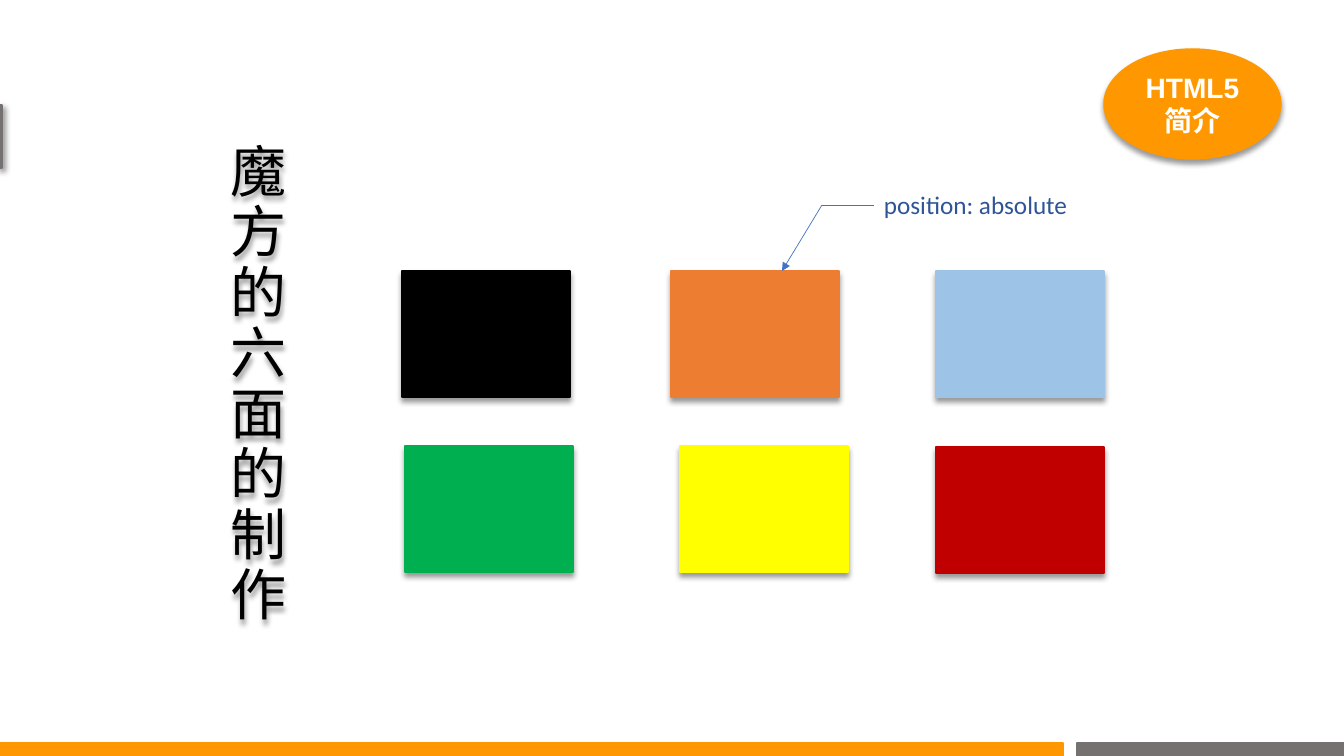
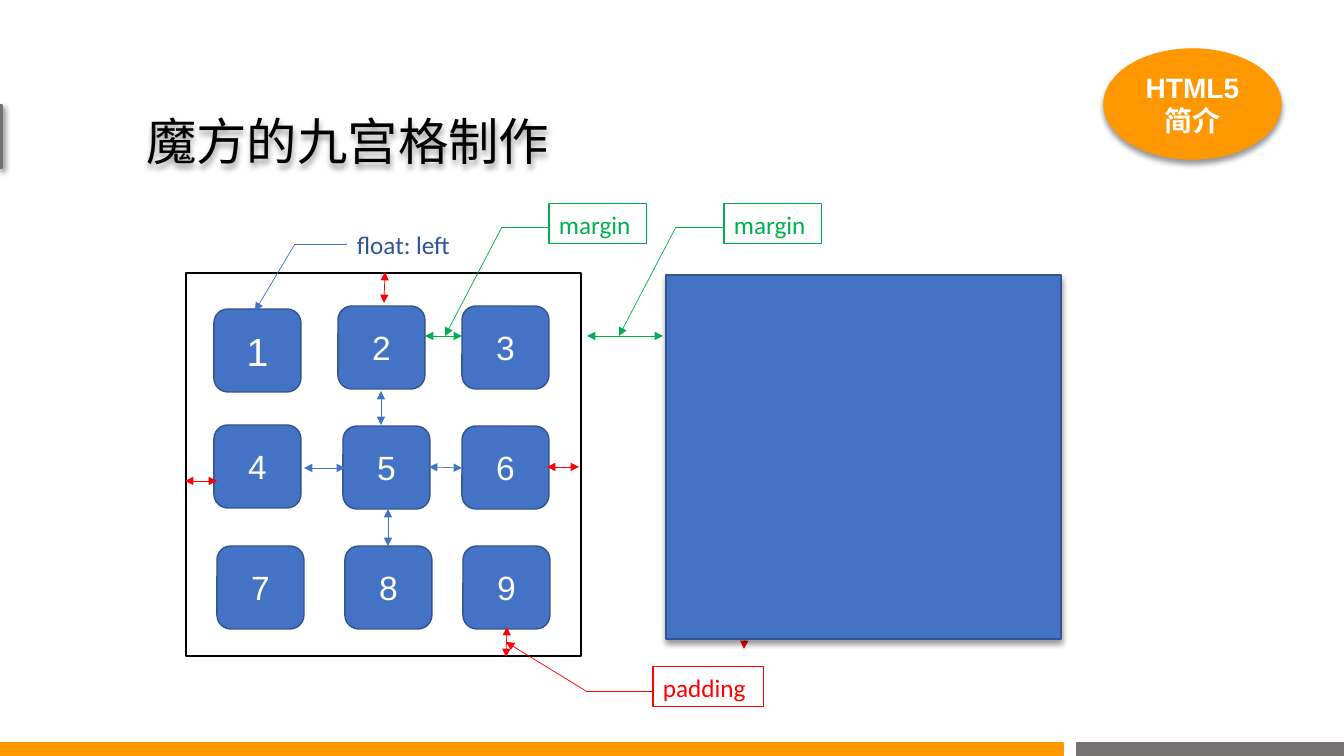
from lxml import etree
from pptx import Presentation
from pptx.dml.color import RGBColor
from pptx.enum.shapes import MSO_CONNECTOR, MSO_SHAPE
from pptx.enum.text import MSO_ANCHOR, MSO_AUTO_SIZE, PP_ALIGN
from pptx.oxml import parse_xml
from pptx.oxml.ns import nsdecls, qn
from pptx.util import Pt

PX = 914400 / 100.8
RECT, ROUND, OVAL = MSO_SHAPE.RECTANGLE, MSO_SHAPE.ROUNDED_RECTANGLE, MSO_SHAPE.OVAL
STRAIGHT = MSO_CONNECTOR.STRAIGHT
TOP, MIDDLE, BOTTOM = MSO_ANCHOR.TOP, MSO_ANCHOR.MIDDLE, MSO_ANCHOR.BOTTOM
LEFT, CENTER = PP_ALIGN.LEFT, PP_ALIGN.CENTER


class Theme:
    orange, gray = "FF9800", "767171"
    blue, navy, edge = "4472C4", "2F5597", "325491"
    green, red = "00B050", "FF0000"
    black, white = "000000", "FFFFFF"
    latin, label, cjk = "Arial", "Calibri", "Noto Sans CJK SC"
    vertical, title, first, digit, badge, note = 40, 36, 28, 24, 20, 18
    rule, frame, thin = 1, 0.75, 0.5


def box(s, kind, at, text="", fill=None, line=None, width=Theme.rule, shadow=None,
        size=Theme.note, font=Theme.latin, color=Theme.white, bold=False,
        align=CENTER, anchor=MIDDLE, wrap=True, spacing=None):
    """Place a preset shape, or the slide title when kind is None."""
    x, y, w, h = [round(v * PX) for v in at]
    if kind is None:
        sp = s.shapes.title
        sp.left, sp.top, sp.width, sp.height = x, y, w, h
    else:
        sp = s.shapes.add_shape(kind, x, y, w, h)
    if fill:
        sp.fill.solid()
        sp.fill.fore_color.rgb = RGBColor.from_string(fill)
    else:
        sp.fill.background()
    if line:
        sp.line.color.rgb = RGBColor.from_string(line)
        sp.line.width = Pt(width)
    else:
        sp.line.fill.background()
    sp.shadow.inherit = False
    if shadow is not None:
        effects = sp.element.spPr.find(qn("a:effectLst"))
        effects.append(parse_xml(
            f'<a:outerShdw {nsdecls("a")} blurRad="{Pt(4)}" dist="{Pt(3)}" '
            f'dir="{shadow * 60000}" algn="t" rotWithShape="0">'
            f'<a:srgbClr val="{Theme.black}"><a:alpha val="40000"/></a:srgbClr>'
            '</a:outerShdw>'))
    if text:
        tf = sp.text_frame
        tf.auto_size = MSO_AUTO_SIZE.NONE
        tf.word_wrap = wrap
        tf.vertical_anchor = anchor
        p = tf.paragraphs[0]
        p.alignment = align
        if spacing:
            p.line_spacing = spacing
        r = p.add_run()
        r.text = text
        r.font.size, r.font.bold, r.font.name = Pt(size), bold, font
        r.font.color.rgb = RGBColor.from_string(color)
        etree.SubElement(r.font._element, qn("a:ea"), typeface=Theme.cjk)


def line(s, start, end, color, head=False, tail=False):
    """Draw a thin connector with optional arrowheads."""
    points = [round(v * PX) for v in (*start, *end)]
    c = s.shapes.add_connector(STRAIGHT, *points)
    c.line.color.rgb = RGBColor.from_string(color)
    c.line.width = Pt(Theme.thin)
    spPr = c.element.spPr
    ln = spPr.find(qn("a:ln"))
    for name, wanted in (("a:headEnd", head), ("a:tailEnd", tail)):
        if wanted:
            etree.SubElement(ln, qn(name), type="triangle")
    etree.SubElement(spPr, qn("a:effectLst"))


prs = Presentation()
prs.slide_width, prs.slide_height = round(1344 * PX), round(756 * PX)
faces, grid = [prs.slides.add_slide(prs.slide_layouts[5]) for _ in range(2)]

# Titles
box(faces, None, (208, 179, 101, 453), "魔方的六面的制作", size=Theme.vertical,
    font=Theme.cjk, color=Theme.black, anchor=BOTTOM, spacing=Pt(43.2), shadow=90)
box(grid, None, (136, 104, 640, 72), "魔方的九宫格制作", size=Theme.title,
    font=Theme.cjk, color=Theme.black, align=LEFT, shadow=90)

# Badge, footer bands and side tab on both slides
for s in (faces, grid):
    box(s, OVAL, (1104, 49, 177, 110), "HTML5简介", fill=Theme.orange,
        line=Theme.orange, size=Theme.badge, bold=True, shadow=90)
    box(s, RECT, (0, 743, 1063, 13), fill=Theme.orange, line=Theme.orange)
    box(s, RECT, (1077, 743, 268, 13), fill=Theme.gray, line=Theme.gray)
    box(s, RECT, (-3, 105, 5, 63), fill=Theme.gray, line=Theme.gray, shadow=45)

# Six cube faces
for x, y, color in (
        (402, 271, Theme.black), (671, 271, "ED7D31"), (936, 271, "9DC3E6"),
        (405, 446, Theme.green), (680, 446, "FFFF00"), (936, 447, "C00000")):
    box(faces, RECT, (x, y, 168, 126), fill=color, line=color, shadow=90)

# Neighbouring block, with its padding arrow partly behind it
line(grid, (745, 619), (744, 649), Theme.red, head=True, tail=True)
box(grid, RECT, (666, 275, 395, 364), fill=Theme.blue, line=Theme.edge, shadow=90)

# Nine numbered tiles in their frame
box(grid, RECT, (186, 273, 395, 383), fill=Theme.white, line=Theme.black)
tiles = ((214, 309), (338, 306), (462, 306),
         (214, 425), (343, 426), (462, 426),
         (217, 546), (345, 546), (463, 546))
for number, (x, y) in enumerate(tiles, 1):
    box(grid, ROUND, (x, y, 87, 83), str(number), fill=Theme.blue, line=Theme.edge,
        size=Theme.first if number == 1 else Theme.digit)

# Two-way arrows: margins, padding, gaps between tiles
spans = {
    Theme.green: (((425, 336), (462, 336)), ((587, 336), (663, 336))),
    Theme.red: (((507, 627), (506, 657)), ((217, 481), (185, 481)),
                ((579, 467), (547, 467)), ((385, 272), (384, 303))),
    Theme.blue: (((381, 391), (381, 425)), ((429, 467), (462, 468)),
                 ((345, 468), (304, 468)), ((388, 509), (388, 546))),
}
for color, pairs in spans.items():
    for start, end in pairs:
        line(grid, start, end, color, head=True, tail=True)

# Callouts: label, elbow and arrow to the target
callouts = (
    (faces, "position: absolute", (874, 184, 206, 40), (822, 205), (782, 271), Theme.blue),
    (grid, "float: left", (347, 224, 117, 40), (295, 244), (255, 311), Theme.blue),
    (grid, "margin", (549, 204, 98, 40), (502, 227), (445, 336), Theme.green),
    (grid, "margin", (724, 204, 98, 40), (676, 227), (619, 336), Theme.green),
    (grid, "padding", (653, 667, 111, 40), (586, 691), (506, 642), Theme.red),
)
for s, text, at, elbow, target, color in callouts:
    plain = color == Theme.blue
    line(s, elbow, target, color, tail=True)
    line(s, elbow, (at[0], elbow[1]), color)
    box(s, RECT, at, text, line=None if plain else color, width=Theme.frame,
        font=Theme.label, color=Theme.navy if plain else color,
        align=LEFT, anchor=TOP, wrap=False)

prs.save("out.pptx")
